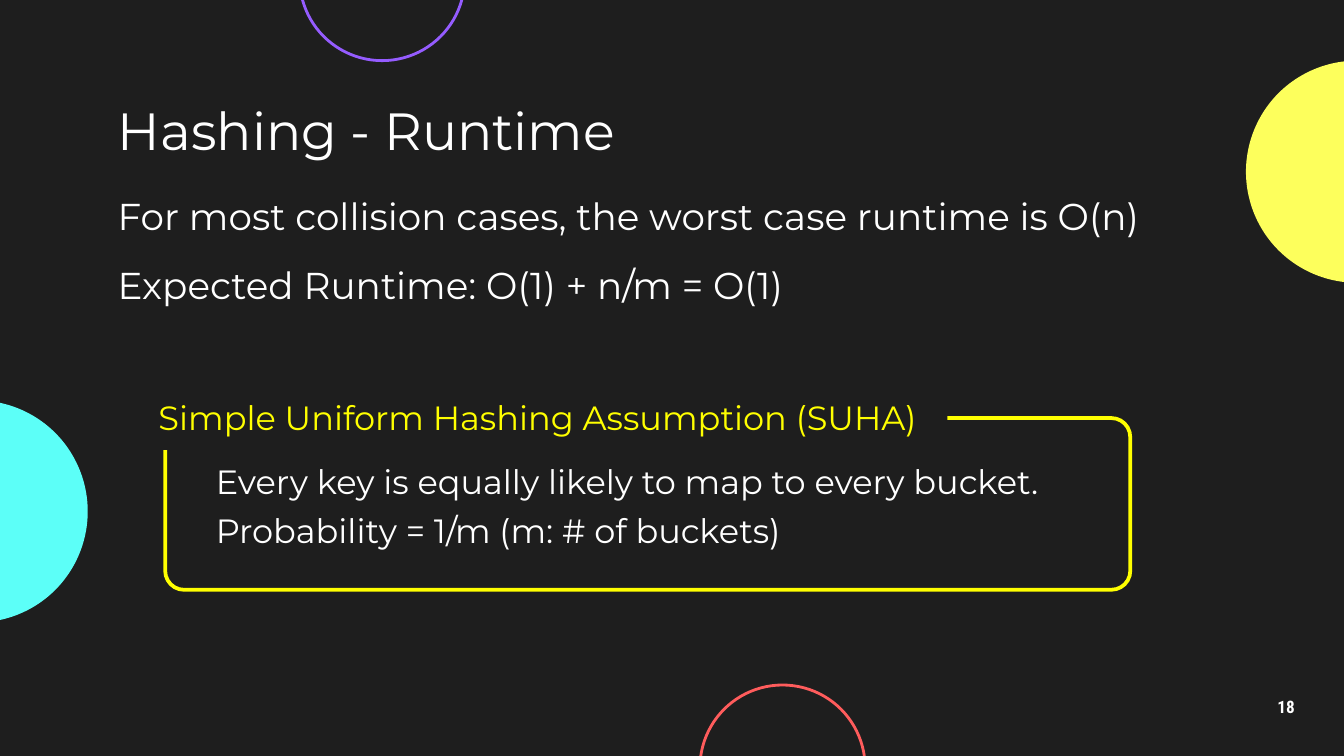
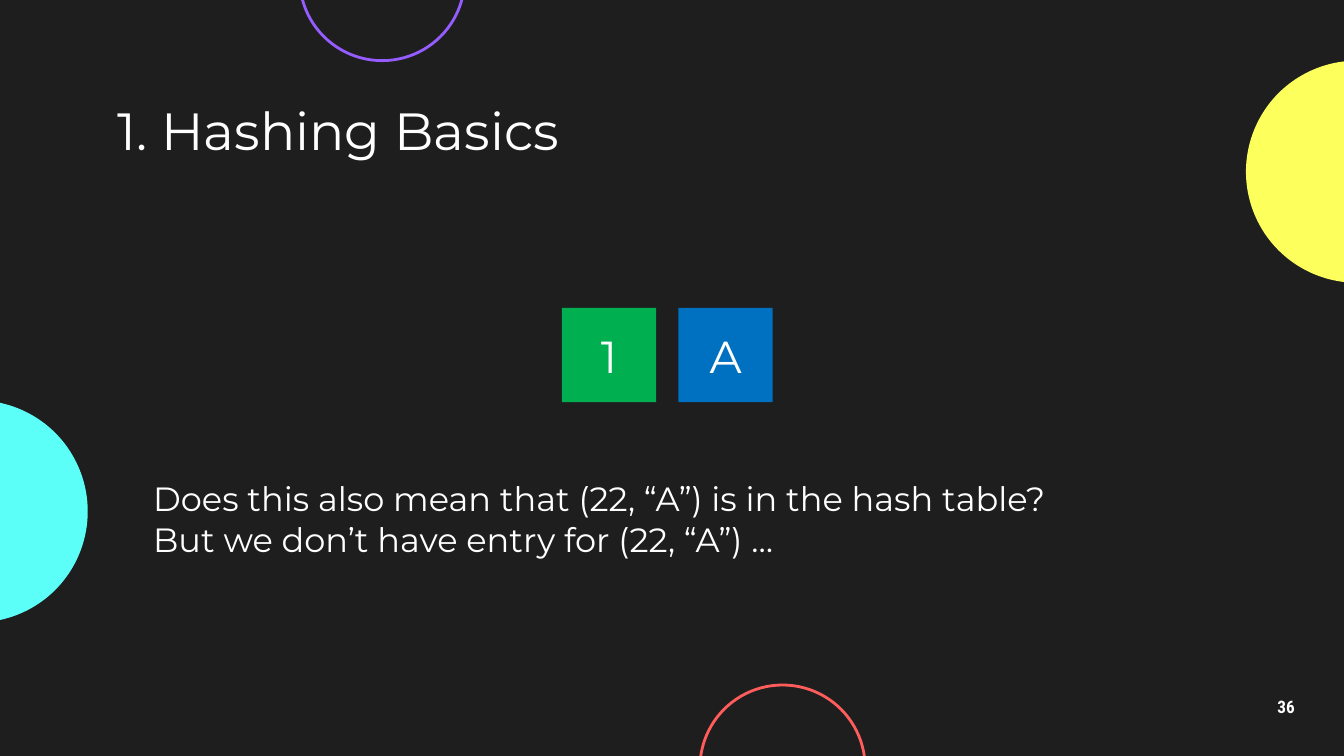
import pptx
import pptx.util
import pptx.dml.color
import pptx.enum.shapes
import pptx.enum.text

Pt = pptx.util.Pt
SHAPE = pptx.enum.shapes.MSO_SHAPE
ALIGN = pptx.enum.text.PP_ALIGN
ANCHOR = pptx.enum.text.MSO_ANCHOR
SIZING = pptx.enum.text.MSO_AUTO_SIZE

DARK, WHITE, YELLOW = "1E1E1E", "FFFFFF", "FFFF00"
GREEN, BLUE = "00B050", "0070C0"

# Circles on each slide: left, top, size, fill, line
CIRCLES = [
    (-72, 214.5, 119, "5CFFF8", None),
    (667.5, 32.5, 119, "FDFF5C", None),
    (160.5, -56, 88.5, None, "955CFF"),
    (375, 367, 88.5, None, "FF5C5C"),
]


def color(code):
    return pptx.dml.color.RGBColor.from_string(code)


def apply(target, values):
    for name, value in values.items():
        setattr(target, name, value)


class Deck:
    def __init__(self):
        self.prs = pptx.Presentation()
        apply(self.prs, {"slide_width": Pt(720), "slide_height": Pt(405)})
        back = self.prs.slide_master.background.fill
        back.solid()
        back.fore_color.rgb = color(DARK)
        self.slide = None

    def start(self, title, number):
        """Add a slide with its circles, number and title."""
        self.slide = self.prs.slides.add_slide(self.prs.slide_layouts[5])
        for left, top, size, fill, line in CIRCLES:
            self.shape(SHAPE.OVAL, (left, top, size, size), fill, line, 1.5)
        self.label((667.5, 367, 43, 24.5), [number], 9.2, face="Roboto Condensed",
                   bold=True, align=ALIGN.CENTER, anchor=ANCHOR.MIDDLE, space=0.9)
        self.title(title)

    def set_text(self, frame, lines, size, ink=WHITE, face="Montserrat", bold=False,
                 align=ALIGN.LEFT, anchor=ANCHOR.TOP, space=1.0, inset=7.2):
        apply(frame, {
            "word_wrap": True, "auto_size": SIZING.NONE, "vertical_anchor": anchor,
            "margin_left": Pt(7.2), "margin_right": Pt(7.2),
            "margin_top": Pt(inset), "margin_bottom": Pt(inset),
        })
        for index, line in enumerate(lines):
            para = frame.add_paragraph() if index else frame.paragraphs[0]
            apply(para, {"alignment": align, "line_spacing": space,
                         "space_before": Pt(0)})
            run = para.add_run()
            run.text = line
            apply(run.font, {"name": face, "size": Pt(size), "bold": bold})
            run.font.color.rgb = color(ink)

    def title(self, text):
        holder = self.slide.shapes.title
        apply(holder, {"left": Pt(56), "top": Pt(51),
                       "width": Pt(608), "height": Pt(37)})
        self.set_text(holder.text_frame, [text], 28, anchor=ANCHOR.MIDDLE)

    def label(self, box, lines, size, **style):
        item = self.slide.shapes.add_textbox(*map(Pt, box))
        self.set_text(item.text_frame, lines, size, **style)

    def shape(self, kind, box, fill=None, line=None, width=1):
        item = self.slide.shapes.add_shape(kind, *map(Pt, box))
        item.shadow.inherit = False
        if fill:
            item.fill.solid()
            item.fill.fore_color.rgb = color(fill)
        else:
            item.fill.background()
        if line:
            item.line.color.rgb = color(line)
            item.line.width = Pt(width)
        else:
            item.line.fill.background()
        return item

    def block(self, box, text, size, fill, ink=WHITE):
        """Add a filled rectangle with centred text."""
        item = self.shape(SHAPE.RECTANGLE, box, fill)
        self.set_text(item.text_frame, [text], size, ink, align=ALIGN.CENTER,
                      anchor=ANCHOR.MIDDLE, inset=3.6)


def runtime(deck):
    deck.start("Hashing - Runtime", "18")
    # Running times
    facts = ["For most collision cases, the worst case runtime is O(n)",
             "Expected Runtime: O(1) + n/m = O(1)"]
    for row, text in enumerate(facts):
        deck.label((56, 96.5 + 36.5 * row, 585, 37), [text], 20)
    # Framed rule with its heading over the border
    frame = deck.shape(SHAPE.ROUNDED_RECTANGLE, (88.5, 224, 517, 92),
                       line=YELLOW, width=2)
    frame.adjustments[0] = 0.11
    deck.block((68.5, 206, 439, 35), "Simple Uniform Hashing Assumption (SUHA)",
               18, DARK, YELLOW)
    rules = ["Every key is equally likely to map to every bucket.",
             "Probability = 1/m (m: # of buckets)"]
    for row, text in enumerate(rules):
        deck.label((108.5, 239.75 + 26 * row, 528, 37), [text], 18)


def basics(deck):
    deck.start("1. Hashing Basics", "36")
    # Key and value
    for col, (text, fill) in enumerate([("1", GREEN), ("A", BLUE)]):
        deck.block((301 + 62.5 * col, 165, 50.5, 50.5), text, 24, fill)
    # Question
    deck.label((75, 249, 570, 37),
               ["Does this also mean that (22, “A”) is in the hash table?",
                "But we don’t have entry for (22, “A”) …"], 18)


def main():
    deck = Deck()
    runtime(deck)
    basics(deck)
    deck.prs.save("out.pptx")


if __name__ == "__main__":
    main()
